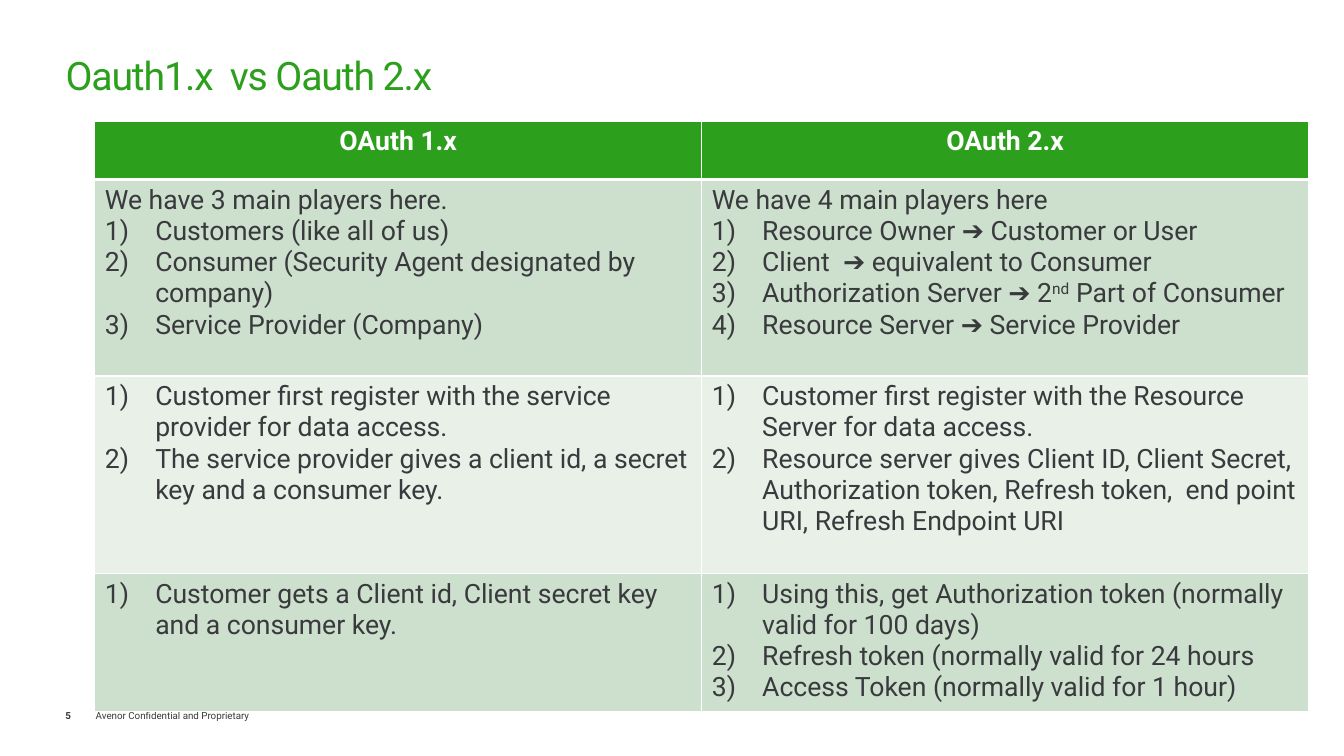
"""Build a slide with a table that compares OAuth 1.x with OAuth 2.x."""
from lxml.etree import SubElement
from pptx import Presentation
from pptx.dml.color import RGBColor
from pptx.enum.text import MSO_ANCHOR as Anchor, PP_ALIGN as Align
from pptx.oxml.ns import qn
from pptx.util import Inches, Pt

FONT = "Roboto"
GREEN, DARK, WHITE = "2CA01C", "393A3D", "FFFFFF"
BANDS = ["CDDFCD", "E8F0E8"]
ROW_HEIGHTS = [0.58, 1.95, 1.96, 1.34]
HEADERS = ["OAuth 1.x", "OAuth 2.x"]
ROWS = [
    [("We have 3 main players here.",
      ["Customers (like all of us)",
       "Consumer (Security Agent designated by company)",
       "Service Provider (Company)"]),
     ("We have 4 main players here",
      ["Resource Owner ➔ Customer or User",
       "Client  ➔ equivalent to Consumer ",
       "Authorization Server ➔ 2^nd^ Part of Consumer",
       "Resource Server ➔ Service Provider"])],
    [(None,
      ["Customer first register with the service provider for data access.  ",
       "The service provider gives a client id, a secret key and a consumer key."]),
     (None,
      ["Customer first register with the Resource Server for data access.  ",
       "Resource server gives Client ID, Client Secret, Authorization token, "
       "Refresh token,  end point URI, Refresh Endpoint URI"])],
    [(None,
      ["Customer gets a Client id, Client secret key and a consumer key."]),
     (None,
      ["Using this, get Authorization token (normally valid for 100 days)",
       "Refresh token (normally valid for 24 hours",
       "Access Token (normally valid for 1 hour)"])],
]


def color(code):
    """Turn a hex string into a colour."""
    return RGBColor.from_string(code)


def add_span(para, text, size, code=DARK, bold=False):
    """Add one formatted run to a paragraph."""
    span = para.add_run()
    span.text = text
    span.font.name = FONT
    span.font.size = Pt(size)
    span.font.bold = bold
    span.font.color.rgb = color(code)
    return span


def add_rich_text(para, text):
    """Add body text in which carets enclose superscript."""
    for index, part in enumerate(text.split("^")):
        span = add_span(para, part, 19)
        if index % 2:
            span.font._element.set("baseline", "30000")


def number_para(para):
    """Give a paragraph a hanging automatic number."""
    props = para._p.get_or_add_pPr()
    props.set("marL", str(Inches(0.5)))
    props.set("indent", str(Inches(-0.5)))
    SubElement(props, qn("a:buFont"), typeface="+mj-lt")
    SubElement(props, qn("a:buAutoNum"), type="arabicParenR")


def style_cell(cell, fill, top=1, bottom=1):
    """Fill a cell and give it white borders."""
    cell.fill.solid()
    cell.fill.fore_color.rgb = color(fill)
    props = cell._tc.get_or_add_tcPr()
    widths = {"lnL": 1, "lnR": 1, "lnT": top, "lnB": bottom}
    for index, (side, width) in enumerate(widths.items()):
        line = SubElement(props, qn(f"a:{side}"), w=str(Pt(width)))
        solid = SubElement(line, qn("a:solidFill"))
        SubElement(solid, qn("a:srgbClr"), val=WHITE)
        props.insert(index, line)


def fill_body_cell(cell, intro, items):
    """Write an optional opening line and a numbered list."""
    lines = ([intro] if intro else []) + items
    for index, text in enumerate(lines):
        frame = cell.text_frame
        para = frame.add_paragraph() if index else frame.paragraphs[0]
        if text in items:
            number_para(para)
        add_rich_text(para, text)


def add_comparison(page):
    """Add the two-column comparison table."""
    frame = page.shapes.add_table(
        len(ROW_HEIGHTS), len(HEADERS), Inches(0.94), Inches(1.2),
        Inches(12.04), Inches(sum(ROW_HEIGHTS)))
    table = frame.table
    for row, height in zip(table.rows, ROW_HEIGHTS):
        row.height = Inches(height)
    for col, header in enumerate(HEADERS):
        cell = table.cell(0, col)
        style_cell(cell, GREEN, bottom=3)
        para = cell.text_frame.paragraphs[0]
        para.alignment = Align.CENTER
        add_span(para, header, 19, WHITE, bold=True)
    for index, entries in enumerate(ROWS):
        for col, (intro, items) in enumerate(entries):
            cell = table.cell(index + 1, col)
            style_cell(cell, BANDS[index % 2], top=1 if index else 3)
            fill_body_cell(cell, intro, items)


def set_title(page, text):
    """Place and format the title placeholder."""
    title = page.shapes.title
    title.left, title.top = Inches(0.55), Inches(0.45)
    title.width, title.height = Inches(12.15), Inches(0.5)
    frame = title.text_frame
    frame.word_wrap = False
    frame.vertical_anchor = Anchor.TOP
    para = frame.paragraphs[0]
    para.alignment = Align.LEFT
    para.line_spacing = Pt(34)
    span = add_span(para, text, 28, GREEN)
    span.font._element.set("spc", "-80")


def add_footer(page, text, left, width, inset, bold=False):
    """Add a small text box on the footer line."""
    box = page.shapes.add_textbox(
        Inches(left), Inches(7), Inches(width), Inches(0.2))
    frame = box.text_frame
    frame.word_wrap = True
    frame.vertical_anchor = Anchor.MIDDLE
    frame.margin_left = Inches(inset)
    add_span(frame.paragraphs[0], text, 7, bold=bold)


def main():
    """Build and save the deck."""
    deck = Presentation()
    deck.slide_width, deck.slide_height = Inches(13.33), Inches(7.5)
    page = deck.slides.add_slide(deck.slide_layouts[5])
    add_footer(page, "Avenor Confidential and Proprietary", 0.95, 2.67, 0)
    add_footer(page, "5", 0.55, 0.39, 0.1, bold=True)
    set_title(page, "Oauth1.x  vs Oauth 2.x")
    add_comparison(page)
    deck.save("out.pptx")


main()
